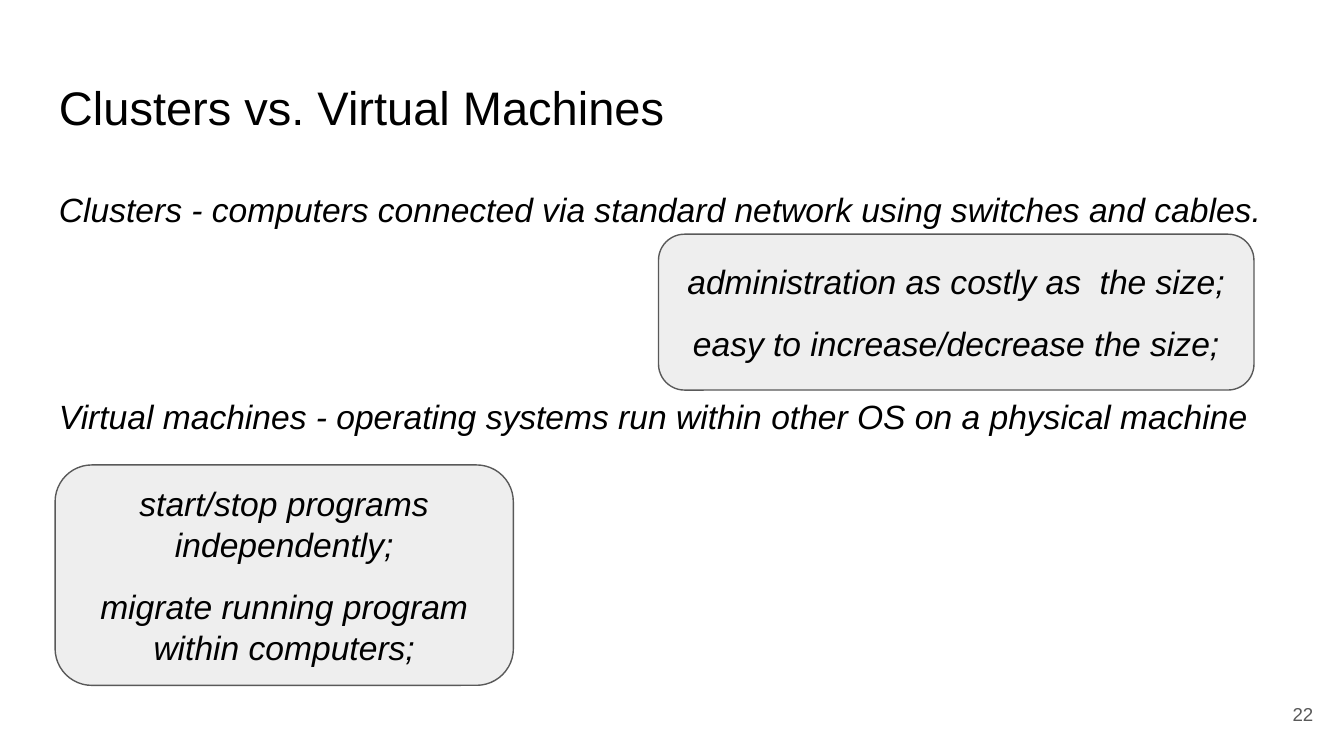
from dataclasses import dataclass

from pptx import Presentation
from pptx.dml.color import RGBColor
from pptx.enum.shapes import MSO_SHAPE
from pptx.enum.text import MSO_ANCHOR, PP_ALIGN
from pptx.util import Pt


@dataclass(frozen=True)
class Theme:
    font: str = "Arial"
    ink: RGBColor = RGBColor(0x00, 0x00, 0x00)
    muted: RGBColor = RGBColor(0x59, 0x59, 0x59)
    panel: RGBColor = RGBColor(0xEE, 0xEE, 0xEE)
    title_size: float = 25.2
    body_size: float = 18
    number_size: float = 10
    inset: float = 7.2


THEME = Theme()


def write_text(shape, lines, size=THEME.body_size, color=THEME.ink, italic=False,
               align=PP_ALIGN.LEFT, anchor=MSO_ANCHOR.TOP, line_spacing=1.0,
               gap=0, after=0):
    """Fill a shape with one paragraph per line; gap and after space the later ones."""
    frame = shape.text_frame
    frame.word_wrap = True
    frame.vertical_anchor = anchor
    frame.margin_left = frame.margin_right = Pt(THEME.inset)
    frame.margin_top = frame.margin_bottom = Pt(THEME.inset)
    for index, line in enumerate(lines):
        para = frame.add_paragraph() if index else frame.paragraphs[0]
        para.alignment = align
        para.line_spacing = line_spacing
        para.space_before = Pt(gap if index else 0)
        para.space_after = Pt(after if index else 0)
        span = para.add_run()
        span.text = line
        span.font.name = THEME.font
        span.font.size = Pt(size)
        span.font.italic = italic
        span.font.color.rgb = color


def add_text(page, box, lines, **text_format):
    shape = page.shapes.add_textbox(*map(Pt, box))
    write_text(shape, lines, **text_format)


def add_title(page, box, title):
    add_text(page, box, [title], size=THEME.title_size)


def add_definitions(page, box, definitions):
    # The wide gap leaves room for the first panel
    add_text(page, box, definitions, italic=True, line_spacing=1.15, gap=86)


def add_panel(page, box, remarks):
    panel = page.shapes.add_shape(MSO_SHAPE.ROUNDED_RECTANGLE, *map(Pt, box))
    panel.shadow.inherit = False
    panel.fill.solid()
    panel.fill.fore_color.rgb = THEME.panel
    panel.line.color.rgb = THEME.muted
    panel.line.width = Pt(0.75)
    write_text(panel, remarks, italic=True, align=PP_ALIGN.CENTER,
               anchor=MSO_ANCHOR.MIDDLE, gap=12, after=12)


def add_page_number(page, box, number):
    add_text(page, box, [str(number)], size=THEME.number_size, color=THEME.muted,
             align=PP_ALIGN.RIGHT, anchor=MSO_ANCHOR.MIDDLE)


def main():
    deck = Presentation()
    deck.slide_width, deck.slide_height = Pt(720), Pt(405)
    page = deck.slides.add_slide(deck.slide_layouts[6])

    # Heading and definitions
    add_title(page, (24.5, 35, 671, 45.4), "Clusters vs. Virtual Machines")
    add_definitions(page, (24.5, 90.7, 671, 269.3), [
        "Clusters - computers connected via standard network using switches and cables.",
        "Virtual machines - operating systems run within other OS on a physical machine",
    ])

    # Page number
    add_page_number(page, (667.4, 367.2, 43.2, 31), 22)

    # Remarks on each approach
    add_panel(page, (352.8, 125.5, 319, 83.5), [
        "administration as costly as  the size;",
        "easy to increase/decrease the size;",
    ])
    add_panel(page, (29.5, 249.1, 245.5, 118.1), [
        "start/stop programs independently;",
        "migrate running program within computers;",
    ])

    deck.save("out.pptx")


if __name__ == "__main__":
    main()
